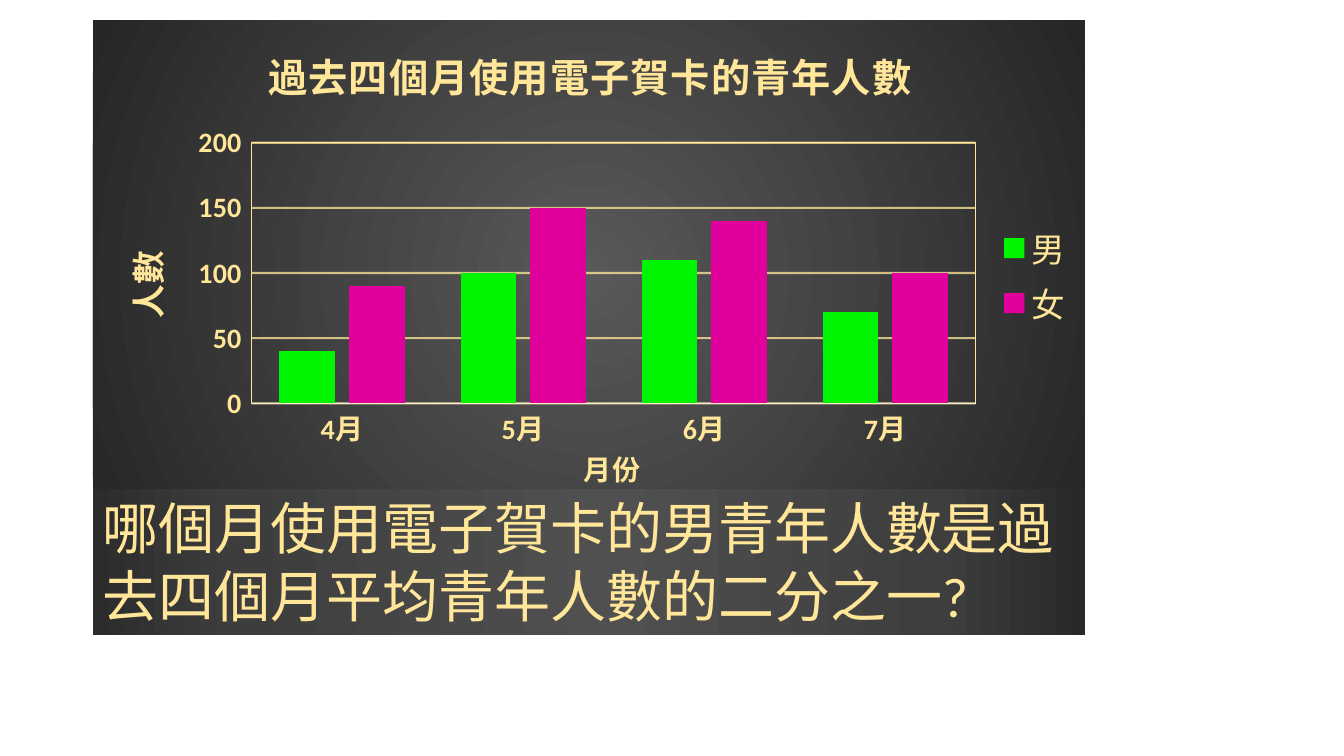
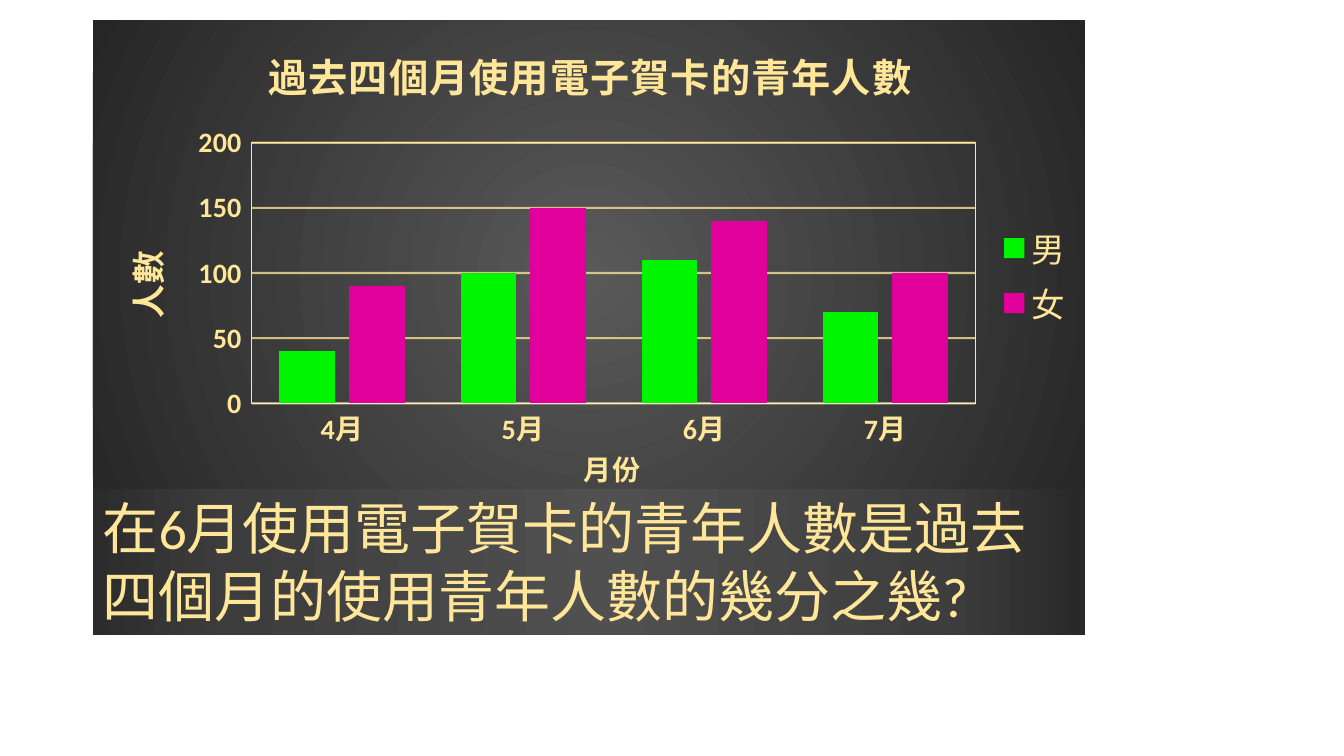
from dataclasses import dataclass

from lxml.etree import Element, SubElement
from pptx import Presentation
from pptx.chart.data import CategoryChartData
from pptx.dml.color import RGBColor as Rgb
from pptx.enum.chart import XL_CHART_TYPE as ChartType
from pptx.enum.chart import XL_LEGEND_POSITION as LegendPosition
from pptx.enum.chart import XL_TICK_MARK as TickMark
from pptx.enum.shapes import MSO_SHAPE as Preset
from pptx.enum.text import MSO_ANCHOR as Anchor
from pptx.enum.text import PP_ALIGN as Align
from pptx.oxml.ns import qn
from pptx.util import Pt

PX = 9144


@dataclass(frozen=True)
class Theme:
    font: str = "Calibri"
    text: str = "FFE699"
    axis_line: str = "F2F2F2"
    male: str = "00F600"
    female: str = "E2009C"
    panel: tuple = ((0, "595959"), (100, "262626"))
    band: tuple = ((0, "2C2C2C"), (14, "3D3D3D"), (52, "505050"), (85, "3E3E3E"), (100, "292929"))
    question_size: int = 40
    title_size: int = 28
    label_size: int = 24
    axis_size: int = 20


THEME = Theme()
MONTHS = ("4月", "5月", "6月", "7月")
CARD_USERS = (
    ("男", (40, 100, 110, 70), THEME.male),
    ("女", (90, 150, 140, 100), THEME.female),
)
QUESTIONS = (
    "哪個月使用電子賀卡的男青年人數是過去四個月平均青年人數的二分之一?",
    "在6月使用電子賀卡的青年人數是過去四個月的使用青年人數的幾分之幾?",
)


def px(*lengths):
    return [length * PX for length in lengths]


def style_font(font, size, bold=False):
    font.name = THEME.font
    font.size = Pt(size)
    font.bold = bold
    font.color.rgb = Rgb.from_string(THEME.text)


def gradient(stops, radial=False):
    fill = Element(qn("a:gradFill"), rotWithShape="1")
    stop_list = SubElement(fill, qn("a:gsLst"))
    for position, color in stops:
        stop = SubElement(stop_list, qn("a:gs"), pos=str(position * 1000))
        SubElement(stop, qn("a:srgbClr"), val=color)
    if radial:
        center = SubElement(fill, qn("a:path"), path="circle")
        SubElement(center, qn("a:fillToRect"), l="50000", t="50000", r="50000", b="50000")
    else:
        SubElement(fill, qn("a:lin"), ang="0", scaled="0")
    return fill


def outline(parent, color=None, width=1):
    line = SubElement(parent, qn("a:ln"), w=str(Pt(width)))
    if color is None:
        SubElement(line, qn("a:noFill"))
    else:
        SubElement(SubElement(line, qn("a:solidFill")), qn("a:srgbClr"), val=color)


def place(part, **fractions):
    for old in part.findall(qn("c:layout")):
        part.remove(old)
    layout = Element(qn("c:layout"))
    manual = SubElement(layout, qn("c:manualLayout"))
    if "w" in fractions:
        SubElement(manual, qn("c:layoutTarget"), val="inner")
    for axis in "xy":
        SubElement(manual, qn(f"c:{axis}Mode"), val="edge")
    for key, value in fractions.items():
        SubElement(manual, qn(f"c:{key}"), val=str(value))
    part.insert(0 if part.find(qn("c:tx")) is None else 1, layout)


def write_title(owner, text, size):
    frame = (owner.chart_title if hasattr(owner, "chart_title") else owner.axis_title).text_frame
    frame.text = text
    style_font(frame.paragraphs[0].font, size, bold=True)


def style_line(line, color, width):
    line.width = Pt(width)
    line.color.rgb = Rgb.from_string(color)


def set_alpha(chart, query, percent):
    for color in chart.element.xpath(f"{query}//a:srgbClr"):
        SubElement(color, qn("a:alpha"), val=str(percent * 1000))


def style_axes(chart):
    months, people = chart.category_axis, chart.value_axis
    for axis, name, size in ((months, "月份", THEME.axis_size), (people, "人數", THEME.label_size)):
        write_title(axis, name, size)
        style_font(axis.tick_labels.font, THEME.axis_size, bold=True)
    months.major_tick_mark = TickMark.NONE
    style_line(months.format.line, THEME.axis_line, 1)
    people.major_tick_mark = TickMark.OUTSIDE
    people.minimum_scale, people.maximum_scale, people.major_unit = 0, 200, 50
    people.format.line.fill.background()
    style_line(people.major_gridlines.format.line, THEME.text, 1.5)
    set_alpha(chart, ".//c:catAx/c:spPr", 54)
    set_alpha(chart, ".//c:majorGridlines", 77)
    people_body = chart.element.xpath(".//c:valAx/c:title//a:bodyPr")[0]
    people_body.set("rot", "-5400000")
    people_body.set("vert", "horz")


def style_panel(chart):
    chart_part = chart.element.find(qn("c:chart"))
    panel = Element(qn("c:spPr"))
    panel.append(gradient(THEME.panel, radial=True))
    outline(panel)
    chart_part.addnext(panel)
    plot_area = chart_part.find(qn("c:plotArea"))
    frame = SubElement(plot_area, qn("c:spPr"))
    SubElement(frame, qn("a:noFill"))
    outline(frame, THEME.text)
    place(plot_area, x=0.16, y=0.24, w=0.73, h=0.51)
    place(chart_part.find(qn("c:title")), x=0.17, y=0.03)
    place(plot_area.find(f"{qn('c:catAx')}/{qn('c:title')}"), x=0.49, y=0.82)
    place(plot_area.find(f"{qn('c:valAx')}/{qn('c:title')}"), x=0.02, y=0.44)


def add_card_chart(slide):
    data = CategoryChartData()
    data.categories = MONTHS
    for name, counts, _ in CARD_USERS:
        data.add_series(name, counts)
    chart = slide.shapes.add_chart(ChartType.COLUMN_CLUSTERED, *px(92, 20, 984, 507), data).chart
    chart.font.name = THEME.font
    chart.font.size = Pt(10)
    write_title(chart, "過去四個月使用電子賀卡的青年人數", THEME.title_size)
    chart.element.xpath("./c:chart/c:title//a:defRPr")[0].set("spc", "100")
    chart.has_legend = True
    chart.legend.position = LegendPosition.RIGHT
    chart.legend.include_in_layout = False
    style_font(chart.legend.font, THEME.label_size)
    bars = chart.plots[0]
    bars.gap_width, bars.overlap, bars.vary_by_categories = 100, -24, False
    for series, (_, _, color) in zip(bars.series, CARD_USERS):
        series.format.fill.solid()
        series.format.fill.fore_color.rgb = Rgb.from_string(color)
    style_axes(chart)
    style_panel(chart)


def add_question(slide, text):
    band = slide.shapes.add_shape(Preset.RECTANGLE, *px(92, 485, 984, 145))
    band.shadow.inherit = False
    band.line.fill.background()
    band.element.spPr.find(qn("a:prstGeom")).addnext(gradient(THEME.band))
    frame = band.text_frame
    frame.word_wrap = True
    frame.vertical_anchor = Anchor.TOP
    frame.text = text
    question = frame.paragraphs[0]
    question.alignment = Align.LEFT
    style_font(question.font, THEME.question_size)


def main():
    deck = Presentation()
    deck.slide_width, deck.slide_height = px(1333, 750)
    for question in QUESTIONS:
        slide = deck.slides.add_slide(deck.slide_layouts[6])
        add_card_chart(slide)
        add_question(slide, question)
    deck.save("out.pptx")


if __name__ == "__main__":
    main()
